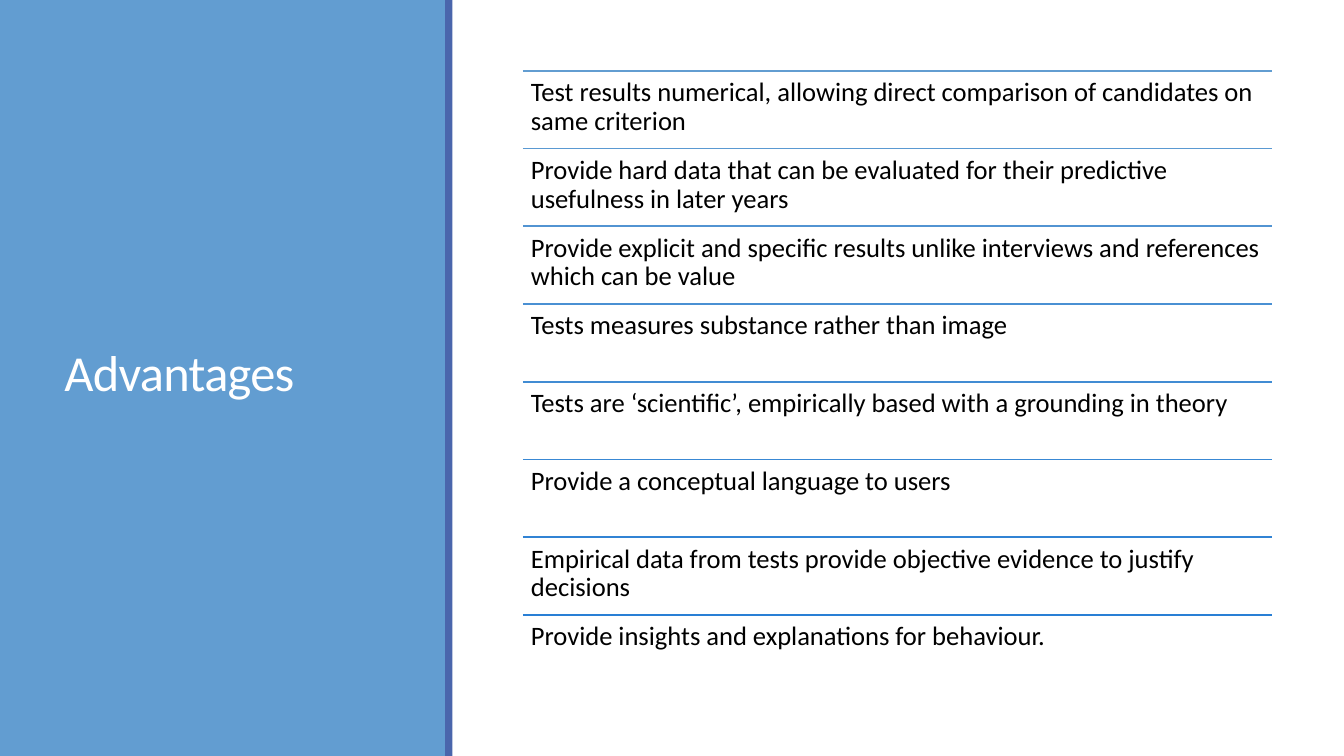
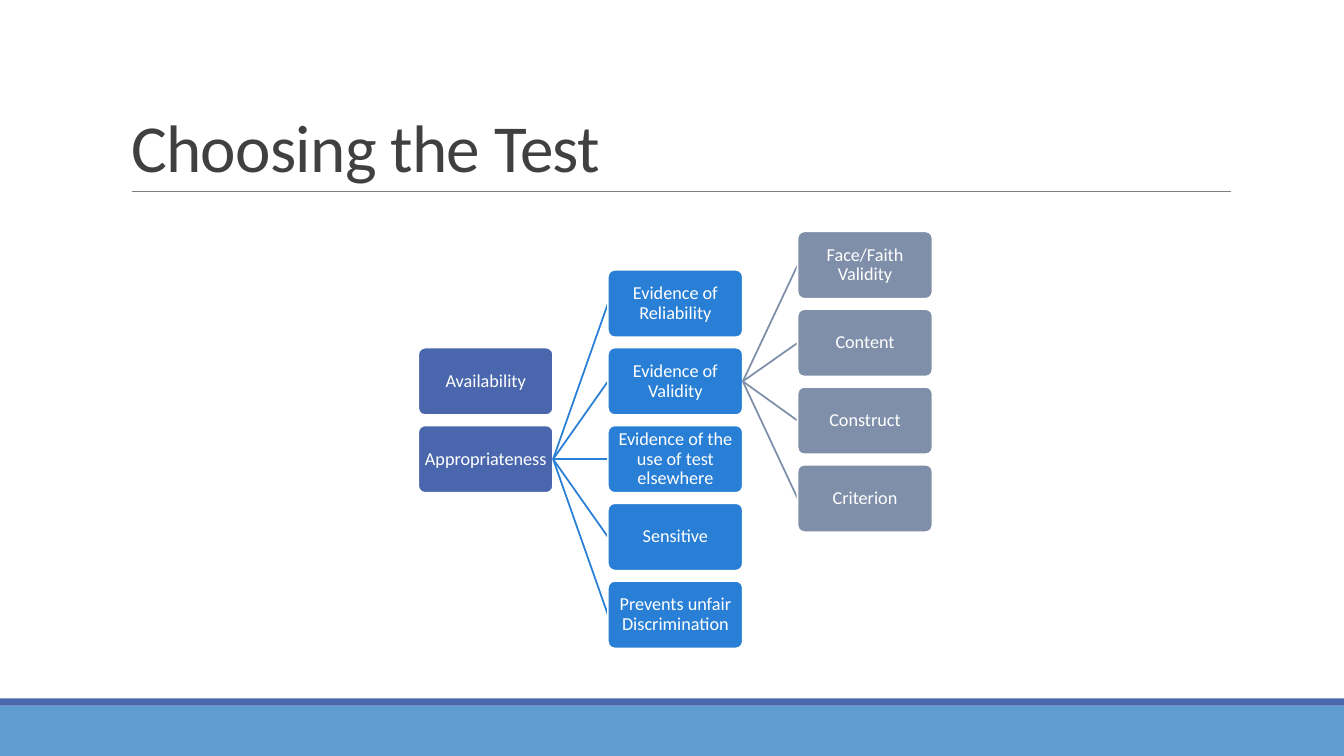
from lxml.etree import SubElement
from pptx import Presentation
from pptx.dml.color import RGBColor
from pptx.enum.shapes import MSO_CONNECTOR, MSO_SHAPE
from pptx.enum.text import MSO_ANCHOR, MSO_AUTO_SIZE, PP_ALIGN
from pptx.oxml.ns import qn
from pptx.util import Cm, Pt

FONT = "Calibri"
COLORS = {
    "band": "629DD1",
    "stripe": "4A66AC",
    "blue": "297FD5",
    "slate": "7F8FA9",
    "rule": "808080",
    "title": "404040",
    "text": "000000",
    "white": "FFFFFF",
}


def write(frame, text, size, color, align=PP_ALIGN.LEFT, anchor=MSO_ANCHOR.TOP,
          line_spacing=0.9, inset=None, tracking=None):
    frame.word_wrap = True
    frame.auto_size = MSO_AUTO_SIZE.NONE
    frame.vertical_anchor = anchor
    if inset is not None:
        frame.margin_left = frame.margin_right = Cm(inset)
        frame.margin_top = frame.margin_bottom = Cm(inset)
    paragraph = frame.paragraphs[0]
    paragraph.alignment = align
    paragraph.line_spacing = line_spacing
    run = paragraph.add_run()
    run.text = text
    run.font.name = FONT
    run.font.size = Pt(size)
    run.font.color.rgb = RGBColor.from_string(color)
    if tracking is not None:
        run.font._element.set("spc", str(tracking))


def add_rule(slide, color, width, start=(0, 0), end=(0, 0)):
    rule = slide.shapes.add_connector(
        MSO_CONNECTOR.STRAIGHT, *(Cm(value) for value in start + end))
    rule.line.color.rgb = RGBColor.from_string(color)
    rule.line.width = Pt(width)
    SubElement(rule.element.spPr, qn("a:effectLst"))
    return rule


deck = Presentation()
deck.slide_width, deck.slide_height = Cm(33.87), Cm(19.05)
title_only = deck.slide_layouts[5]
advantages_slide = deck.slides.add_slide(title_only)
choosing_slide = deck.slides.add_slide(title_only)

titles = [
    (advantages_slide, "Advantages", (1.37, 1.45, 8.56, 16.03), 36,
     COLORS["white"], MSO_ANCHOR.MIDDLE),
    (choosing_slide, "Choosing the Test", (3.05, 0.79, 27.94, 4.04), 48,
     COLORS["title"], MSO_ANCHOR.BOTTOM),
]
for slide, wording, place, size, color, anchor in titles:
    title = slide.shapes.title
    title.left, title.top, title.width, title.height = (Cm(value) for value in place)
    write(title.text_frame, wording, size, color, anchor=anchor,
          line_spacing=0.85, tracking=-50)

bands = [
    (advantages_slide, (0, 0, 11.25, 19.05), "band"),
    (advantages_slide, (11.22, 0, 0.18, 19.05), "stripe"),
    (choosing_slide, (0, 17.78, 33.87, 1.27), "band"),
    (choosing_slide, (0, 17.6, 33.87, 0.18), "stripe"),
]
for slide, place, color in bands:
    band = slide.shapes.add_shape(MSO_SHAPE.RECTANGLE, *(Cm(value) for value in place))
    band.shadow.inherit = False
    band.fill.solid()
    band.fill.fore_color.rgb = RGBColor.from_string(COLORS[color])
    band.line.fill.background()
    slide.shapes.title.element.addprevious(band.element)

advantages = [
    "Test results numerical, allowing direct comparison of candidates on same criterion",
    "Provide hard data that can be evaluated for their predictive usefulness in later years",
    "Provide explicit and specific results unlike interviews and references which can be value",
    "Tests measures substance rather than image",
    "Tests are ‘scientific’, empirically based with a grounding in theory",
    "Provide a conceptual language to users",
    "Empirical data from tests provide objective evidence to justify decisions",
    "Provide insights and explanations for behaviour.",
]
ROW_PITCH = 1.96
list_left, list_top, list_width = 13.18, 1.78, 18.87
first_color = RGBColor.from_string(COLORS["band"])
last_color = RGBColor.from_string(COLORS["blue"])
for index, advantage in enumerate(advantages):
    top = list_top + index * ROW_PITCH
    share = index / (len(advantages) - 1)
    row_color = RGBColor(*(round(a + (b - a) * share)
                           for a, b in zip(first_color, last_color)))
    add_rule(advantages_slide, str(row_color), 1.25,
             (list_left, top), (list_left + list_width, top))
    row = advantages_slide.shapes.add_textbox(
        Cm(list_left), Cm(top), Cm(list_width), Cm(ROW_PITCH))
    write(row.text_frame, advantage, 19, COLORS["text"], inset=0.2)

add_rule(choosing_slide, COLORS["rule"], 0.5, (3.33, 4.83), (31.01, 4.83))

levels = [
    (8.76, "stripe", None, ["Availability", "Appropriateness"]),
    (6.8, "blue", "Appropriateness",
     ["Evidence of Reliability", "Evidence of Validity",
      "Evidence of the use of test elsewhere", "Sensitive",
      "Prevents unfair Discrimination"]),
    (5.83, "slate", "Evidence of Validity",
     ["Face/Faith Validity", "Content", "Construct", "Criterion"]),
]
tree_left, level_pitch, box_width, box_height = 10.54, 4.78, 3.4, 1.7
boxes = {}
for depth, (level_top, color, parent, criteria) in enumerate(levels):
    for index, criterion in enumerate(criteria):
        box = choosing_slide.shapes.add_shape(
            MSO_SHAPE.ROUNDED_RECTANGLE,
            Cm(tree_left + depth * level_pitch), Cm(level_top + index * ROW_PITCH),
            Cm(box_width), Cm(box_height))
        box.adjustments[0] = 0.1
        box.shadow.inherit = False
        box.fill.solid()
        box.fill.fore_color.rgb = RGBColor.from_string(COLORS[color])
        box.line.color.rgb = RGBColor.from_string(COLORS["white"])
        box.line.width = Pt(1.25)
        write(box.text_frame, criterion, 13, COLORS["white"],
              align=PP_ALIGN.CENTER, anchor=MSO_ANCHOR.MIDDLE, inset=0.03)
        boxes[criterion] = box
        if parent:
            branch = add_rule(choosing_slide, COLORS[color], 1.25)
            branch.begin_connect(boxes[parent], 3)
            branch.end_connect(box, 1)
            box.element.addprevious(branch.element)

deck.save("out.pptx")
